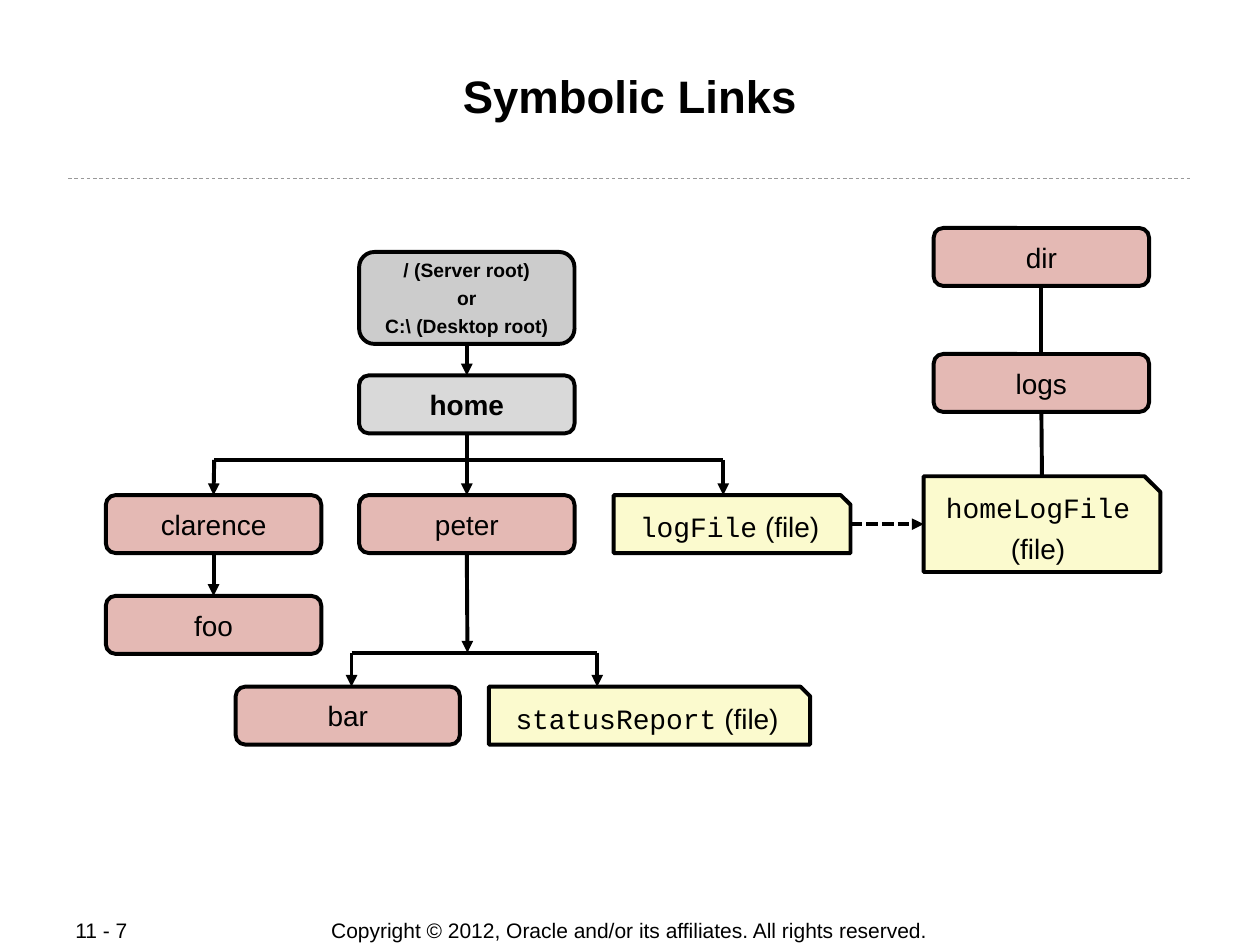
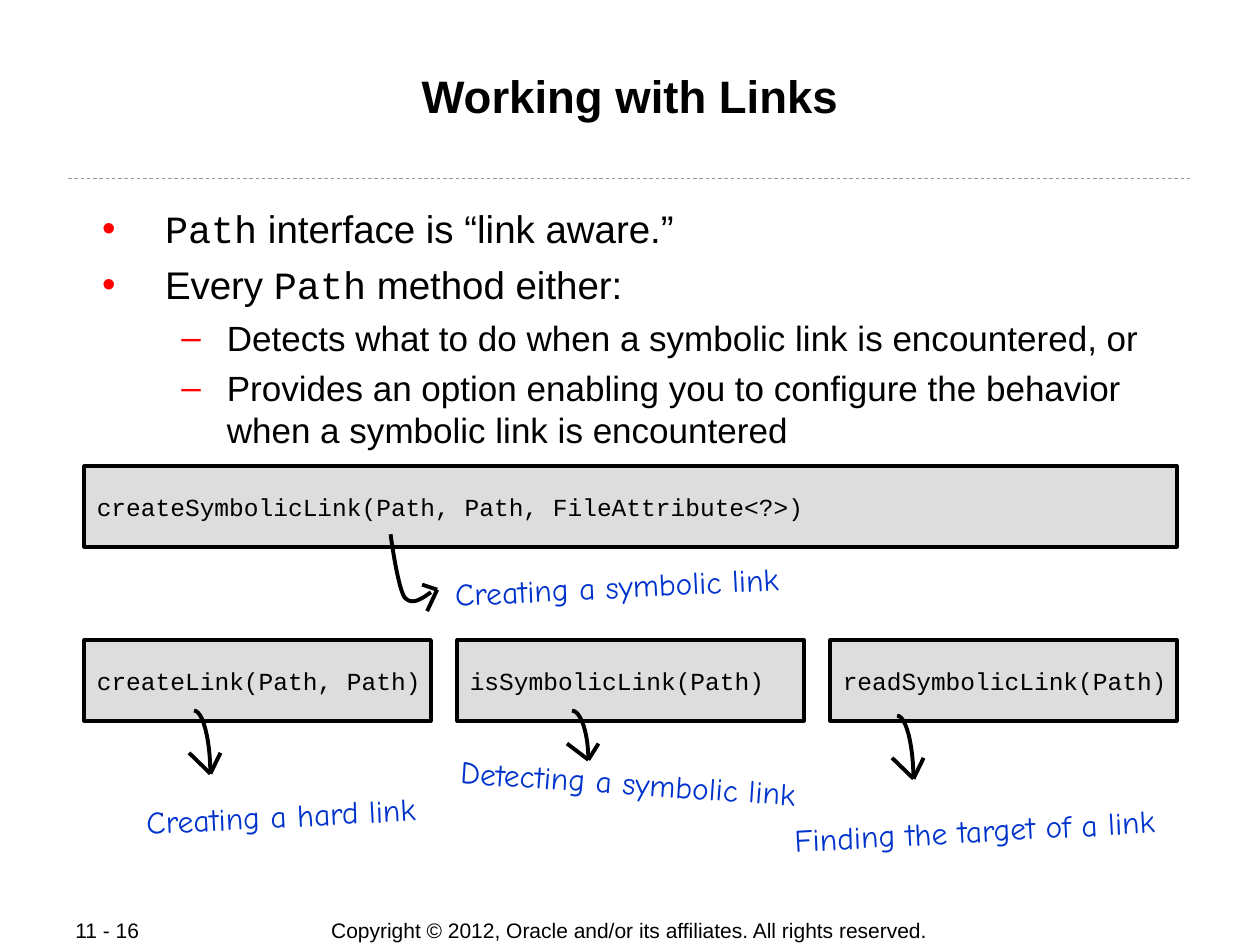
from lxml import etree
from pptx import Presentation
from pptx import util as u
from pptx.dml.color import RGBColor
from pptx.enum import dml, shapes, text
from pptx.oxml.ns import qn

COLORS = {"ink": "000000", "rule": "999999", "root": "CCCCCC", "home": "D9D9D9",
          "folder": "E4B9B4", "file": "FBFACE", "code": "DDDDDD",
          "bullet": "FF0000", "caption": "0033CC"}
SANS, MONO, HAND = "Arial", "Courier New", "Comic Neue"
COPYRIGHT = "Copyright © 2012, Oracle and/or its affiliates. All rights reserved."
TOP, BOTTOM = 0, 2
ROUNDED = shapes.MSO_SHAPE.ROUNDED_RECTANGLE
SNIPPED = shapes.MSO_SHAPE.SNIP_1_RECTANGLE
FOLDER_SIZE = (1.71, 0.46)
CENTER = text.PP_ALIGN.CENTER


def rgb(name):
    return RGBColor.from_string(COLORS[name])


def inches(*lengths):
    return [u.Inches(length) for length in lengths]


def set_all(target, **values):
    for name, value in values.items():
        setattr(target, name, value)


def set_frame(frame, insets=(0.1, 0.05, 0.1, 0.05), anchor=text.MSO_ANCHOR.MIDDLE, wrap=True):
    left, top, right, bottom = inches(*insets)
    set_all(frame, margin_left=left, margin_top=top, margin_right=right,
            margin_bottom=bottom, auto_size=text.MSO_AUTO_SIZE.NONE,
            vertical_anchor=anchor, word_wrap=wrap)


def add_bullet(para, symbol, margin, indent):
    props = para._p.get_or_add_pPr()
    props.set("marL", str(u.Inches(margin)))
    props.set("indent", str(u.Inches(indent)))
    color = etree.SubElement(props, qn("a:buClr"))
    etree.SubElement(color, qn("a:srgbClr")).set("val", COLORS["bullet"])
    etree.SubElement(props, qn("a:buFont")).set("typeface", SANS)
    etree.SubElement(props, qn("a:buChar")).set("char", symbol)


def write(frame, lines, size, align=text.PP_ALIGN.LEFT, gap=0.0, bold=False,
          color="ink", bullets=None):
    """Fill a frame; each line is a list of (words, font) spans."""
    for index, spans in enumerate(lines):
        para = frame.paragraphs[0] if index == 0 else frame.add_paragraph()
        points = size
        if bullets:
            level, points, gap = bullets[index]
            para.level = level
            add_bullet(para, *BULLETS[level])
        set_all(para, alignment=align, space_before=u.Pt(gap if index else 0))
        for words, font in spans:
            span = para.add_run()
            span.text = words
            set_all(span.font, name=font, size=u.Pt(points), bold=bold)
            span.font.color.rgb = rgb(color)


BULLETS = {0: ("•", 0.63, -0.5), 1: ("–", 1.12, -0.36)}


def add_text(page, box, words, size, font=SANS, align=text.PP_ALIGN.LEFT,
             color="ink", anchor=text.MSO_ANCHOR.MIDDLE, wrap=True):
    label = page.shapes.add_textbox(*inches(*box))
    set_frame(label.text_frame, anchor=anchor, wrap=wrap)
    write(label.text_frame, [[(words, font)]], size, align, color=color)
    return label


def style_line(line, color="ink", width=2.25):
    line.color.rgb = rgb(color)
    line.width = u.Pt(width)


def add_node(page, kind, box, fill, lines, size=16, **format_values):
    node = page.shapes.add_shape(kind, *inches(*box))
    node.shadow.inherit = False
    node.fill.solid()
    node.fill.fore_color.rgb = rgb(fill)
    style_line(node.line)
    set_frame(node.text_frame)
    write(node.text_frame, lines, size, **{"align": CENTER, "gap": 4, **format_values})
    return node


def add_folder(page, left, top, name, fill="folder", width=FOLDER_SIZE[0], bold=False):
    return add_node(page, ROUNDED, (left, top, width, FOLDER_SIZE[1]), fill,
                    [[(name, SANS)]], bold=bold)


def add_line(page, start, end, begin=None, finish=None, arrow=False,
             color="ink", width=2.25, dash=None):
    """Draw a line; begin and finish are (node, side) pairs to join."""
    line = page.shapes.add_connector(shapes.MSO_CONNECTOR.STRAIGHT, *inches(*start, *end))
    style_line(line.line, color, width)
    if dash:
        line.line.dash_style = dash
    if begin:
        line.begin_connect(*begin)
    if finish:
        line.end_connect(*finish)
    if arrow:
        tail = etree.SubElement(line.line._get_or_add_ln(), qn("a:tailEnd"))
        tail.set("type", "triangle")
    etree.SubElement(line._element.spPr, qn("a:effectLst"))
    return line


def join(page, upper, lower, arrow=True):
    add_line(page, (0, 0), (0, 0), (upper, BOTTOM), (lower, TOP), arrow)


def add_page(deck, layout, title, number):
    page = deck.slides.add_slide(deck.slide_layouts[layout])
    heading = page.shapes.title
    place(heading, (0.67, 0.48, 8.66, 0.96))
    set_frame(heading.text_frame, (0.01, 0.06, 0.01, 0.01), text.MSO_ANCHOR.TOP)
    write(heading.text_frame, [[(title, SANS)]], 26, CENTER, bold=True)
    add_line(page, (0.54, 1.42), (9.46, 1.42), color="rule", width=0.5,
             dash=dml.MSO_LINE.DASH)
    add_text(page, (2.75, 7.28, 4.49, 0.21), COPYRIGHT, 12, align=CENTER, wrap=False)
    add_text(page, (0.5, 7.28, 1.06, 0.21), f"11 - {number}", 12)
    return page


def place(shape, box):
    set_all(shape, **dict(zip(("left", "top", "width", "height"), inches(*box))))


def draw_home_tree(page, left, top):
    def at(x, y):
        return left + x, top + y

    def add_file(x, y, width, name):
        return add_node(page, SNIPPED, (*at(x, y), width, 0.46), "file",
                        [[(name, MONO), (" (file)", SANS)]])

    trunk = 2.01
    root_lines = ["/ (Server root)", "or", "C:\\ (Desktop root)"]
    root = add_node(page, ROUNDED, (*at(trunk, 0), FOLDER_SIZE[0], 0.73), "root",
                    [[(words, SANS)] for words in root_lines], 11, gap=2.8, bold=True)
    home = add_folder(page, *at(trunk, 0.98), "home", "home", bold=True)
    clarence = add_folder(page, *at(0, 1.93), "clarence")
    peter = add_folder(page, *at(trunk, 1.93), "peter")
    add_file(4.03, 1.93, 1.88, "logFile")
    foo = add_folder(page, *at(0, 2.73), "foo")
    add_folder(page, *at(1.03, 3.45), "bar", width=1.78)
    add_file(3.04, 3.45, 2.55, "statusReport")

    for upper, lower in ((root, home), (home, peter), (clarence, foo)):
        join(page, upper, lower)
    home_bus, peter_bus = 1.65, 3.18
    clarence_x, log_x, bar_x, report_x = 0.86, 4.9, 1.95, 3.9
    add_line(page, at(clarence_x, home_bus), at(log_x, home_bus))
    add_line(page, at(clarence_x, home_bus), at(clarence_x, 1.93),
             finish=(clarence, TOP), arrow=True)
    add_line(page, at(log_x, home_bus), at(log_x, 1.93), arrow=True)
    add_line(page, at(2.87, 2.39), at(2.87, peter_bus), begin=(peter, BOTTOM), arrow=True)
    add_line(page, at(bar_x, peter_bus), at(report_x, peter_bus))
    for x in (bar_x, report_x):
        add_line(page, at(x, peter_bus), at(x, 3.45), arrow=True)


def draw_log_branch(page, left, top):
    folder, logs = [add_folder(page, left + 0.08, top + index, name)
                    for index, name in enumerate(("dir", "logs"))]
    file_top, file_height, middle = top + 1.97, 0.76, left + 0.94
    add_node(page, SNIPPED, (left, file_top, 1.88, file_height), "file",
             [[("homeLogFile", MONO)], [("(file)", SANS)]])
    join(page, folder, logs, arrow=False)
    add_line(page, (middle, top + 1.46), (middle, file_top), begin=(logs, BOTTOM))
    link_y = file_top + file_height / 2
    add_line(page, (left - 0.58, link_y), (left, link_y), arrow=True,
             dash=dml.MSO_LINE.SQUARE_DOT)


def bezier(points, steps=12):
    """Points along a cubic curve, after its start."""
    for step in range(1, steps + 1):
        t = step / steps
        weights = ((1 - t) ** 3, 3 * t * (1 - t) ** 2, 3 * t * t * (1 - t), t ** 3)
        yield tuple(sum(w * point[axis] for w, point in zip(weights, points))
                    for axis in (0, 1))


def draw_pointer(page, left, top, curves, tip, barbs):
    """Curved stroke with an open head; all points are relative to left, top."""
    def at(point):
        return left + point[0], top + point[1]

    builder = page.shapes.build_freeform(*inches(*at(curves[0][0])))
    builder.add_line_segments([inches(*at(point)) for curve in curves
                               for point in bezier(curve)], close=False)
    stroke = builder.convert_to_shape()
    stroke.shadow.inherit = False
    stroke.fill.background()
    style_line(stroke.line)
    for barb in barbs:
        add_line(page, at(tip), at(barb))


def draw_drop_pointer(page, left, top, drop):
    curve = ((0, 0), (0.07, 0), (0.13, 0.46 * drop), (0.13, drop))
    barb_y = 0.67 * drop
    draw_pointer(page, left, top, [curve], curve[-1], ((0.21, barb_y), (-0.04, barb_y)))


def draw_hook_pointer(page, left, top):
    curves = [((0, 0), (0.01, 0.08), (0.06, 0.42), (0.11, 0.5)),
              ((0.11, 0.5), (0.17, 0.57), (0.25, 0.51), (0.32, 0.46))]
    draw_pointer(page, left, top, curves, (0.37, 0.44), ((0.25, 0.4), (0.29, 0.61)))


def draw_path_points(page, box):
    body = page.placeholders[1]
    place(body, box)
    set_frame(body.text_frame, (0.01, 0.05, 0.01, 0.01), text.MSO_ANCHOR.TOP)
    lines = [[("Path", MONO), (" interface is “link aware.”", SANS)],
             [("Every ", SANS), ("Path", MONO), (" method either:", SANS)],
             [("Detects what to do when a symbolic link is encountered, or", SANS)],
             [("Provides an option enabling you to configure the behavior "
               "when a symbolic link is encountered", SANS)]]
    write(body.text_frame, lines, 22, bullets=[(0, 22, 5.5)] * 2 + [(1, 20, 5)] * 2)


def draw_methods(page, left, top, width):
    height, gap, row = 0.64, 0.21, 1.38
    column = (width - 2 * gap) / 3
    calls = [(0, 0, width, "createSymbolicLink(Path, Path, FileAttribute<?>)")]
    names = ("createLink(Path, Path)", "isSymbolicLink(Path)", "readSymbolicLink(Path)")
    calls += [(index * (column + gap), row, column, name) for index, name in enumerate(names)]
    for x, y, span_width, name in calls:
        call = add_node(page, shapes.MSO_SHAPE.RECTANGLE,
                        (left + x, top + y, span_width, height), "code",
                        [[(name, MONO)]], 14, align=text.PP_ALIGN.LEFT)
        call.text_frame.margin_right = u.Inches(0.04)

    draw_hook_pointer(page, left + 2.43, top + 0.54)
    for x, y, drop in ((0.87, 1.94, 0.5), (3.87, 1.94, 0.39), (6.45, 1.98, 0.5)):
        draw_drop_pointer(page, left + x, top + y, drop)

    captions = [(2, 0.75, 4.45, 357, "Creating a symbolic link"),
                (-0.42, 2.57, 3.96, 357, "Creating a hard link"),
                (2.09, 2.31, 4.45, 3.8, "Detecting a symbolic link"),
                (4.84, 2.69, 4.45, 356.9, "Finding the target of a link")]
    for x, y, caption_width, angle, words in captions:
        caption = add_text(page, (left + x, top + y, caption_width, 0.4), words, 18, HAND,
                           CENTER, "caption", text.MSO_ANCHOR.TOP)
        caption.rotation = angle


def main():
    deck = Presentation()
    set_all(deck, slide_width=u.Inches(10), slide_height=u.Inches(7.5))

    page = add_page(deck, 5, "Symbolic Links", 7)
    draw_home_tree(page, 0.84, 2)
    draw_log_branch(page, 7.33, 1.81)

    page = add_page(deck, 1, "Working with Links", 16)
    draw_path_points(page, (0.67, 1.58, 8.66, 1.98))
    draw_methods(page, 0.67, 3.7, 8.67)

    deck.save("out.pptx")


if __name__ == "__main__":
    main()
